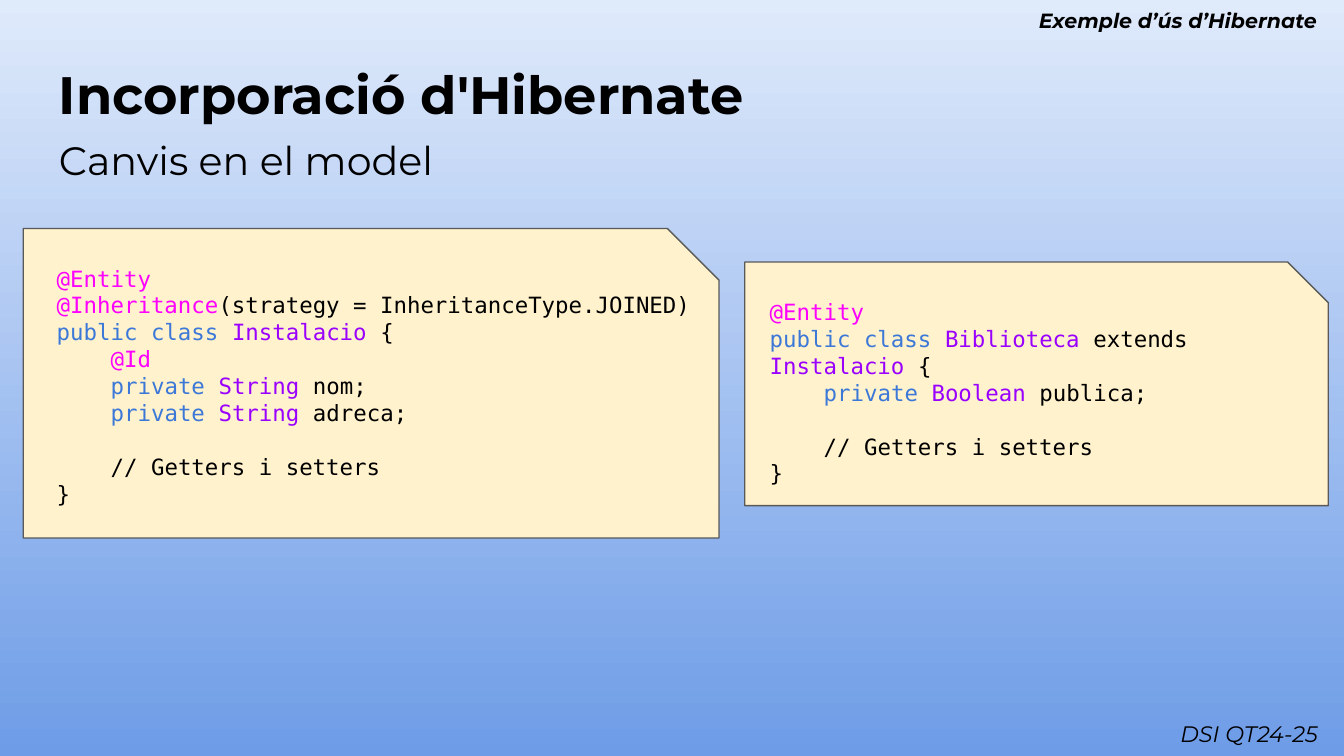
import pptx
import pptx.util
import pptx.dml.color
import pptx.enum.shapes
import pptx.enum.text

Pt = pptx.util.Pt
ALIGN = pptx.enum.text.PP_ALIGN
BLACK, PINK, BLUE, PURPLE = "000000", "FF00FF", "3C78D8", "9900FF"
LINE_HEIGHT = 14.4
CODE_INDENT = 28.9


def colour(value):
    return pptx.dml.color.RGBColor.from_string(value)


def add_box(page, left, top, width, height):
    box = page.shapes.add_textbox(Pt(left), Pt(top), Pt(width), Pt(height))
    frame = box.text_frame
    frame.word_wrap = True
    frame.margin_left = frame.margin_right = Pt(7.2)
    frame.margin_top = frame.margin_bottom = Pt(7.2)
    return frame


def add_label(page, box, text, size, bold=False, italic=False, centred=False):
    para = add_box(page, *box).paragraphs[0]
    para.text = text
    para.font.name = "Montserrat"
    para.font.size = Pt(size)
    para.font.bold = bold
    para.font.italic = italic
    para.font.color.rgb = colour(BLACK)
    if centred:
        para.alignment = ALIGN.CENTER
        para.line_spacing = 0.9


def add_code_card(page, box, text_offset, text_size, lines):
    left, top, width, height = box
    card = page.shapes.add_shape(
        pptx.enum.shapes.MSO_SHAPE.SNIP_1_RECTANGLE,
        Pt(left), Pt(top), Pt(width), Pt(height))
    card.adjustments[0] = 0.167
    card.shadow.inherit = False
    card.fill.solid()
    card.fill.fore_color.rgb = colour("FFF2CC")
    card.line.color.rgb = colour("595959")
    card.line.width = Pt(0.75)

    frame = add_box(page, left + text_offset[0], top + text_offset[1], *text_size)
    for index, (level, blank_lines, spans) in enumerate(lines):
        para = frame.add_paragraph() if index else frame.paragraphs[0]
        para.font.name = "DejaVu Sans Mono"
        para.font.size = Pt(12)
        para.space_before = Pt(blank_lines * LINE_HEIGHT)
        properties = para._p.get_or_add_pPr()
        properties.set("marL", str(Pt(level * CODE_INDENT)))
        properties.set("indent", "0")
        for text, ink in spans:
            span = para.add_run()
            span.text = text
            span.font.color.rgb = colour(ink)


def field(kind, name):
    return (1, 0, [("private ", BLUE), (kind + " ", PURPLE), (name + ";", BLACK)])


def paint_background(page):
    fill = page.background.fill
    fill.gradient()
    fill.gradient_angle = 270
    for stop, value in zip(fill.gradient_stops, ("DFEAFB", "6E9CE7")):
        stop.color.rgb = colour(value)


def main():
    deck = pptx.Presentation()
    deck.slide_width, deck.slide_height = Pt(720), Pt(405)
    page = deck.slides.add_slide(deck.slide_layouts[6])
    paint_background(page)

    add_label(page, (24.5, 26, 671, 45.4), "Incorporació d'Hibernate", 28.2, bold=True)
    add_label(page, (24.5, 65.5, 671, 45.4), "Canvis en el model", 21.2)
    add_label(page, (542.2, 0, 177.8, 24.5), "Exemple d’ús d’Hibernate", 11,
              bold=True, italic=True, centred=True)
    add_label(page, (618.5, 381, 101.5, 24), "DSI QT24-25", 12,
              italic=True, centred=True)

    entity = (0, 0, [("@Entity", PINK)])
    ending = [(1, 1, [("// Getters i setters", BLACK)]), (0, 0, [("}", BLACK)])]
    installation = [
        entity,
        (0, 0, [("@Inheritance", PINK),
                ("(strategy = InheritanceType.JOINED)", BLACK)]),
        (0, 0, [("public class ", BLUE), ("Instalacio ", PURPLE), ("{", BLACK)]),
        (1, 0, [("@Id", PINK)]),
        field("String", "nom"),
        field("String", "adreca"),
    ] + ending
    library = [
        entity,
        (0, 0, [("public class ", BLUE), ("Biblioteca ", PURPLE),
                ("extends ", BLACK), ("Instalacio ", PURPLE), ("{", BLACK)]),
        field("Boolean", "publica"),
    ] + ending
    add_code_card(page, (12.5, 122.4, 372.7, 165.8), (10.8, 12.2),
                  (366.5, 159.8), installation)
    add_code_card(page, (399, 140.4, 312.6, 130.5), (6.3, 12.2),
                  (312.5, 116.6), library)
    deck.save("out.pptx")


if __name__ == "__main__":
    main()
